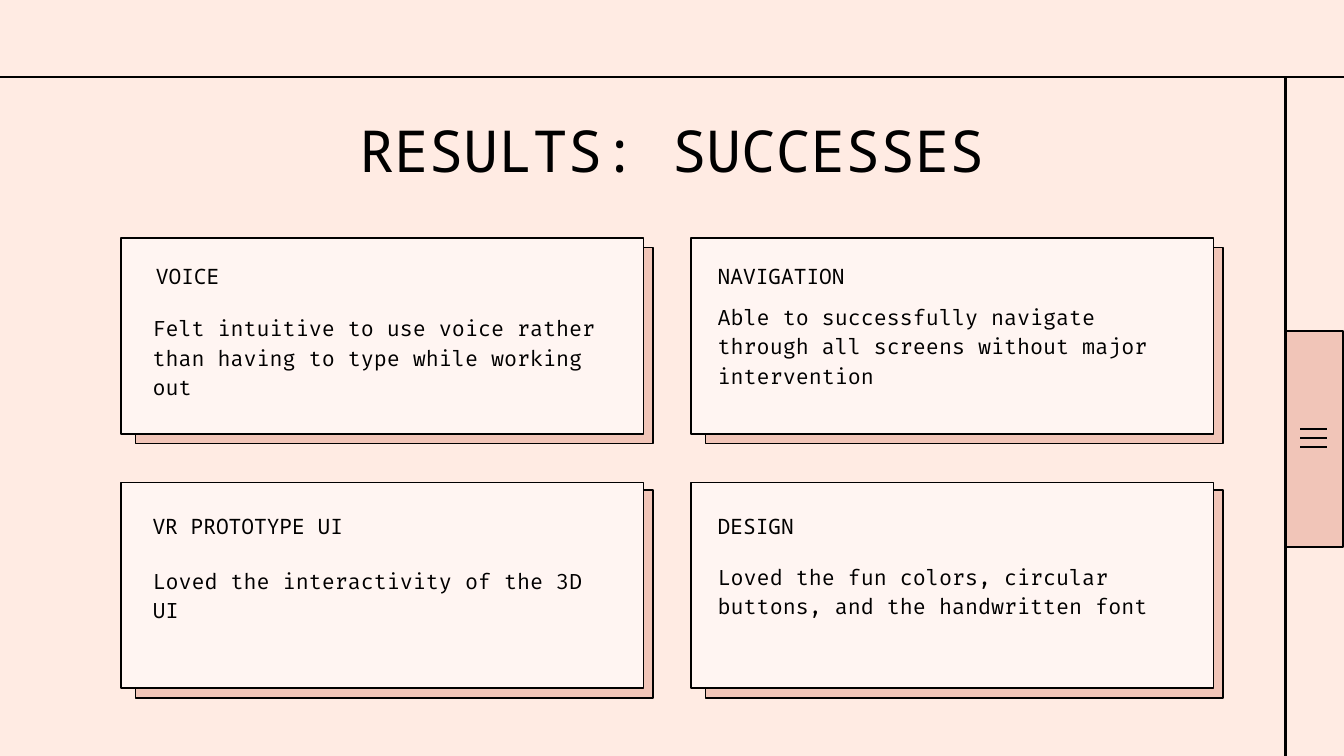
from lxml.etree import SubElement
from pptx import Presentation
from pptx.dml.color import RGBColor
from pptx.enum.shapes import MSO_CONNECTOR as Conn, MSO_SHAPE as Kind
from pptx.enum.text import PP_ALIGN as Align
from pptx.oxml.ns import qn
from pptx.util import Inches, Pt

WIDE, HIGH = 20, 11.25
INK, ROSE, PALE, BACK = "000000", "F1C5B8", "FFF5F2", "FFEBE3"
HEAD, BODY = "Noto Sans Mono", "Fira Code"

TITLE = "RESULTS: SUCCESSES"
COLS = [1.8, 10.28]
ROWS = [
    {"top": 3.54, "high": 2.92, "back": 3.68, "deep": 2.92, "head": 3.85},
    {"top": 7.18, "high": 3.06, "back": 7.29, "deep": 3.1, "head": 7.58},
]
CARDS = [
    (0, 0, "VOICE", 0.52,
     "Felt intuitive to use voice rather than having to type while working out", 0.47, 4.63, 6.71),
    (1, 0, "NAVIGATION", 0.4,
     "Able to successfully navigate through all screens without major intervention", 0.4, 4.46, 7.09),
    (0, 1, "VR PROTOTYPE UI", 0.47,
     "Loved the interactivity of the 3D UI", 0.47, 8.39, 6.71),
    (1, 1, "DESIGN", 0.4,
     "Loved the fun colors, circular buttons, and the handwritten font", 0.4, 8.33, 6.78),
]
RULE, EDGE = 1.15, 19.13
TAB = (19.14, 4.92, 0.85, 3.22)
MENU = (19.35, 19.75, 6.38, 0.135)


def tint(code):
    return RGBColor.from_string(code)


def add_box(slide, area, fill, line=1.5):
    box = slide.shapes.add_shape(Kind.RECTANGLE, *map(Inches, area))
    box.shadow.inherit = False
    box.fill.solid()
    box.fill.fore_color.rgb = tint(fill)
    box.line.color.rgb = tint(INK)
    box.line.width = Pt(line)


def add_rule(slide, *ends):
    rule = slide.shapes.add_connector(Conn.STRAIGHT, *map(Inches, ends))
    rule.line.color.rgb = tint(INK)
    rule.line.width = Pt(2.25)
    SubElement(rule._element.spPr, qn("a:effectLst"))


def add_text(slide, area, text, font, size=22.7, lead=31.8, align=Align.LEFT):
    frame = slide.shapes.add_textbox(*map(Inches, area)).text_frame
    frame.word_wrap = True
    frame.margin_left = frame.margin_right = frame.margin_top = frame.margin_bottom = 0
    frame.text = text
    para = frame.paragraphs[0]
    para.alignment = align
    para.line_spacing = Pt(lead)
    face = para.runs[0].font
    face.name, face.size = font, Pt(size)
    face.color.rgb = tint(INK)


def add_card(slide, col, row, head, shift, body, inset, top, wide):
    left, band = COLS[col], ROWS[row]
    add_box(slide, (left + 0.22, band["back"], 7.7, band["deep"]), ROSE)
    add_box(slide, (left, band["top"], 7.78, band["high"]), PALE)
    add_text(slide, (left + shift, band["head"], 5.69, 0.42), head, HEAD)
    add_text(slide, (left + inset, top, wide, 1.3), body, BODY)


def main():
    """Build the results slide with four cards and a side menu."""
    deck = Presentation()
    deck.slide_width, deck.slide_height = Inches(WIDE), Inches(HIGH)
    slide = deck.slides.add_slide(deck.slide_layouts[6])
    slide.background.fill.solid()
    slide.background.fill.fore_color.rgb = tint(BACK)

    add_text(slide, (4.35, 1.7, 11.3, 1.04), TITLE, HEAD, 62, 74.4, Align.CENTER)
    for card in CARDS:
        add_card(slide, *card)

    add_rule(slide, 0, RULE, WIDE, RULE)
    add_rule(slide, EDGE, RULE, EDGE, HIGH)
    add_box(slide, TAB, ROSE, 2)
    start, end, top, gap = MENU
    for step in range(3):
        level = top + step * gap
        add_rule(slide, start, level, end, level)

    deck.save("out.pptx")


if __name__ == "__main__":
    main()
